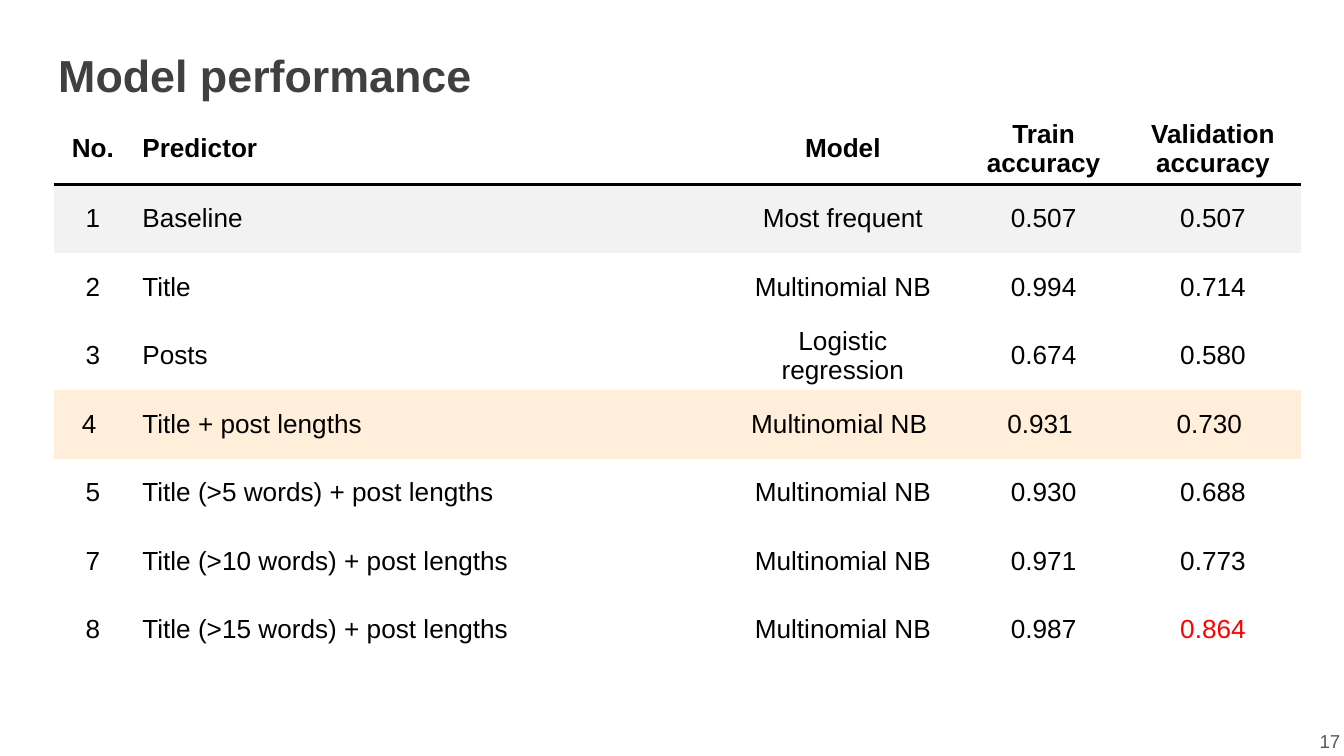
from lxml import etree
from pptx import Presentation
from pptx.dml.color import RGBColor
from pptx.enum.text import MSO_ANCHOR, PP_ALIGN
from pptx.oxml.ns import qn
from pptx.util import Cm, Pt

LEFT, CENTER, RIGHT = PP_ALIGN.LEFT, PP_ALIGN.CENTER, PP_ALIGN.RIGHT
MIDDLE, BOTTOM = MSO_ANCHOR.MIDDLE, MSO_ANCHOR.BOTTOM
TITLE_ONLY = 5
PLAIN_TABLE_STYLE = "{2D5ABB26-0587-4C30-8999-92F81FD0307C}"
COLORS = {
    "title": "404040",
    "number": "595959",
    "text": "000000",
    "baseline": "F2F2F2",
    "selected": "FFEED9",
    "best": "FF0000",
}


class SlideBuilder:
    font_name = "Arial"

    def __init__(self, presentation):
        layout = presentation.slide_layouts[TITLE_ONLY]
        self.slide = presentation.slides.add_slide(layout)

    def set_text(self, frame, text, size, color, alignment=LEFT, bold=False):
        frame.word_wrap = True
        paragraph = frame.paragraphs[0]
        paragraph.text = text
        paragraph.alignment = alignment
        font = paragraph.font
        font.name, font.size, font.bold = self.font_name, Pt(size), bold
        font.color.rgb = RGBColor.from_string(COLORS[color])

    def title(self, text, left, top, width, height):
        shape = self.slide.shapes.title
        shape.left, shape.top = Cm(left), Cm(top)
        shape.width, shape.height = Cm(width), Cm(height)
        frame = shape.text_frame
        frame.margin_left = frame.margin_right = Cm(0.25)
        frame.margin_top = frame.margin_bottom = Cm(0.25)
        frame.vertical_anchor = BOTTOM
        self.set_text(frame, text, 24, "title", bold=True)

    def page_number(self, text, left, top, width, height):
        shape = self.slide.shapes.add_textbox(Cm(left), Cm(top), Cm(width), Cm(height))
        frame = shape.text_frame
        frame.margin_left = frame.margin_right = Cm(0.25)
        frame.vertical_anchor = MIDDLE
        self.set_text(frame, text, 10, "number", RIGHT)

    def bottom_border(self, cell, color, width):
        properties = cell._tc.get_or_add_tcPr()
        line = etree.Element(qn("a:lnB"), w=str(Pt(width)))
        fill = etree.SubElement(line, qn("a:solidFill"))
        etree.SubElement(fill, qn("a:srgbClr"), val=COLORS[color])
        properties.insert(0, line)

    def table(self, rows, left, top, widths, heights, alignments, row_fills, cell_colors):
        frame = self.slide.shapes.add_table(
            len(rows), len(widths), Cm(left), Cm(top), Cm(sum(widths)), Cm(sum(heights)))
        table = frame.table
        table.horz_banding = False
        table._tbl.tblPr.find(qn("a:tableStyleId")).text = PLAIN_TABLE_STYLE
        for column, width in zip(table.columns, widths):
            column.width = Cm(width)
        for index, values in enumerate(rows):
            table.rows[index].height = Cm(heights[index])
            for position, value in enumerate(values):
                cell = table.cell(index, position)
                cell.vertical_anchor = MIDDLE
                cell.margin_left = cell.margin_right = Cm(0.2)
                cell.margin_top = cell.margin_bottom = Cm(0.1)
                color = cell_colors.get((index, position), "text")
                self.set_text(cell.text_frame, value, 14, color, alignments[position], index == 0)
                if index in row_fills:
                    cell.fill.solid()
                    cell.fill.fore_color.rgb = RGBColor.from_string(COLORS[row_fills[index]])
                else:
                    cell.fill.background()
                if index == 0:
                    self.bottom_border(cell, "text", 1.5)


MODEL_ROWS = [
    ("No.", "Predictor", "Model", "Train accuracy", "Validation accuracy"),
    ("1", "Baseline", "Most frequent", "0.507", "0.507"),
    ("2", "Title", "Multinomial NB", "0.994", "0.714"),
    ("3", "Posts", "Logistic regression", "0.674", "0.580"),
    ("4 ", "Title + post lengths ", "Multinomial NB ", "0.931 ", "0.730 "),
    ("5", "Title (>5 words) + post lengths", "Multinomial NB", "0.930", "0.688"),
    ("7", "Title (>10 words) + post lengths", "Multinomial NB", "0.971", "0.773"),
    ("8", "Title (>15 words) + post lengths", "Multinomial NB", "0.987", "0.864"),
]

presentation = Presentation()
presentation.slide_width, presentation.slide_height = Cm(25.4), Cm(14.29)
builder = SlideBuilder(presentation)
builder.title("Model performance", 0.85, 0.56, 8.56, 1.6)
builder.table(
    MODEL_ROWS,
    left=1.02,
    top=2.13,
    widths=[1.47, 11.18, 4.52, 3.07, 3.33],
    heights=[1.36] + [1.29] * (len(MODEL_ROWS) - 1),
    alignments=[CENTER, LEFT, CENTER, CENTER, CENTER],
    row_fills={1: "baseline", 4: "selected"},
    cell_colors={(7, 4): "best"},
)
builder.page_number("17", 24.06, 13.46, 1.52, 1.09)
presentation.save("out.pptx")
